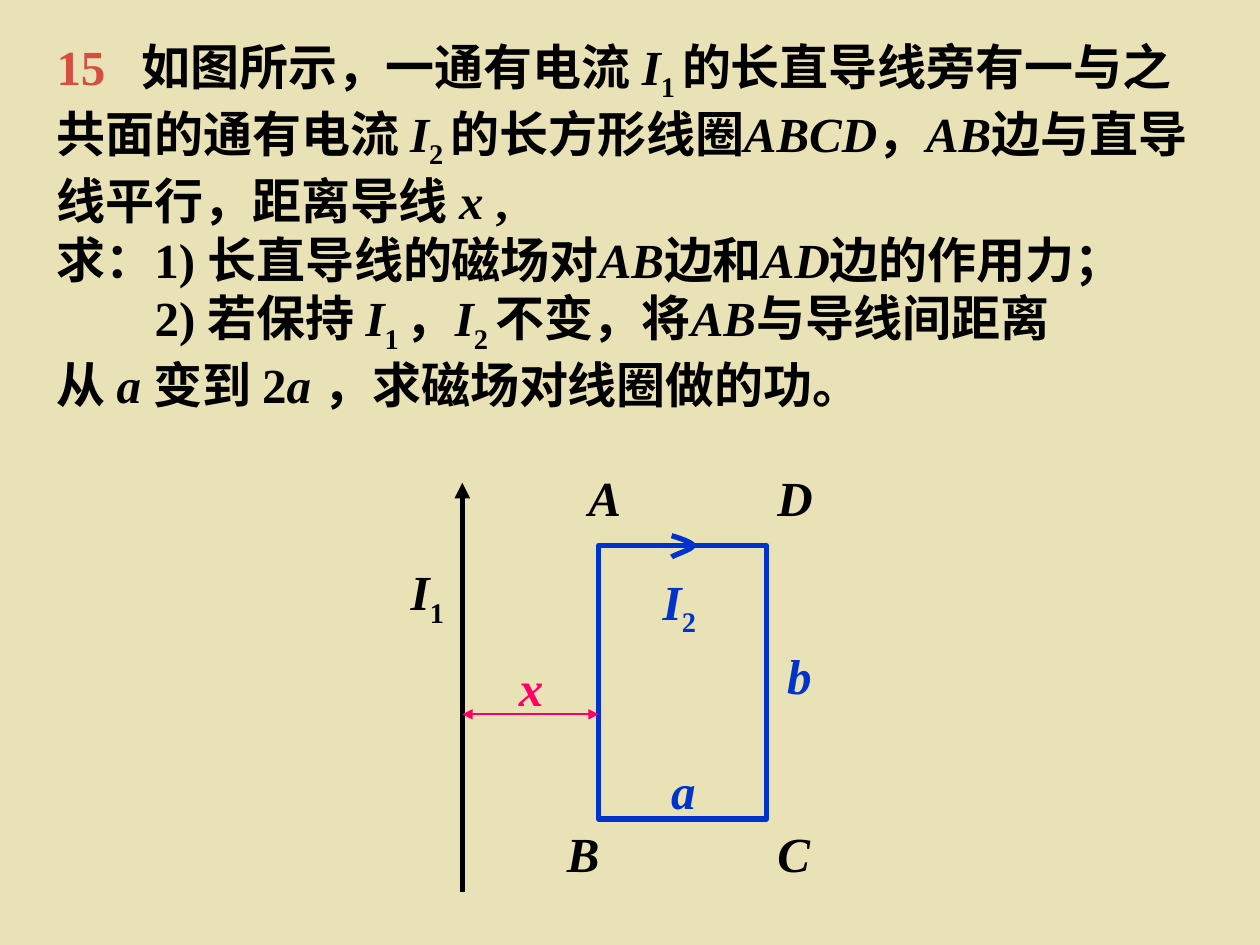
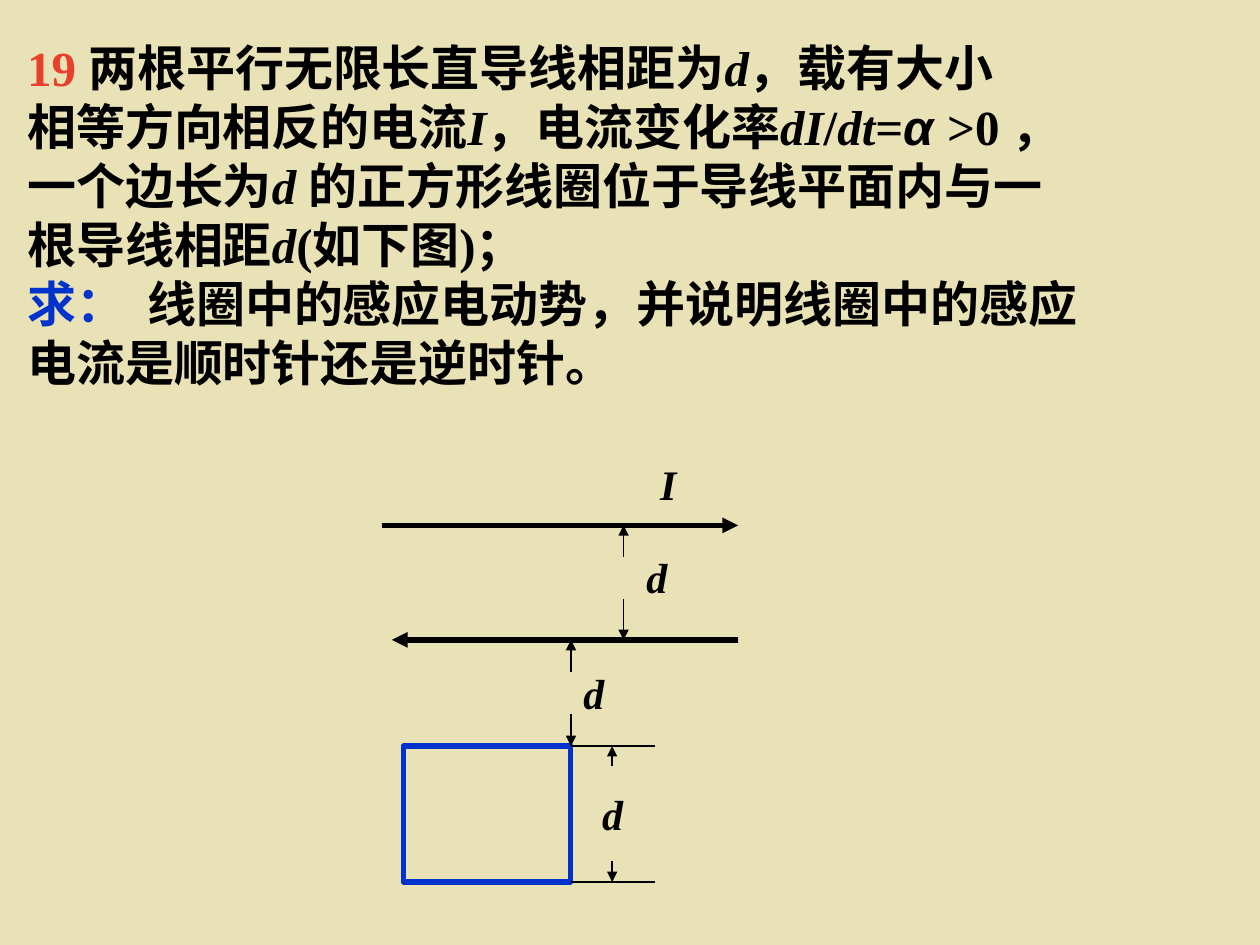
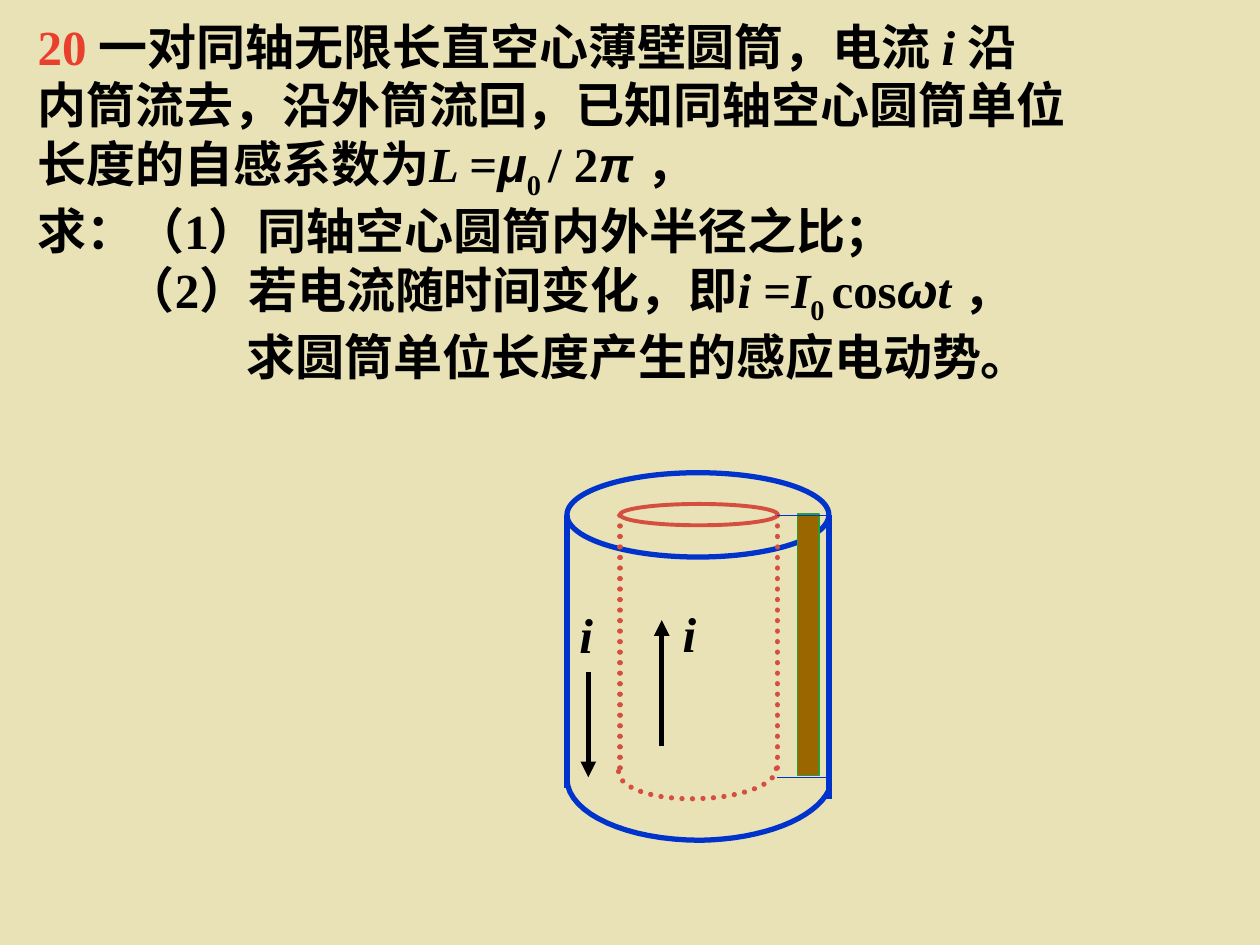
from lxml import etree
from pptx import Presentation
from pptx.dml.color import RGBColor
from pptx.enum.dml import MSO_LINE
from pptx.enum.shapes import MSO_CONNECTOR, MSO_SHAPE
from pptx.enum.text import MSO_AUTO_SIZE
from pptx.oxml.ns import qn
from pptx.util import Cm, Pt

COLORS = {
    "background": "E9E2B6", "black": "000000", "blue": "0033CC",
    "brick": "D54F41", "red": "E93F2D", "pink": "FF0066",
    "brown": "996600", "green": "339933",
}
FONT, GREEK_FONT = "Times New Roman", "Arial"

# Runs are separated by "|"; the first character of a run may set its style:
# ^ italic, ~ Greek italic, _ subscript, # problem number, @ blue keyword
MARKS = "^~_#@"

# Each problem: statement box and paragraphs (text, first-line indent, tab stop),
# then the parts of its figure, all lengths in cm
#   outlines: shape, left, top, width, height, line colour, line width, fill
#   lines:    x1, y1, x2, y2, colour, width, arrows, dotted
#   curves:   Bezier points, colour, dotted
#   labels:   text, left, top, width, size, colour
RECT, OVAL = MSO_SHAPE.RECTANGLE, MSO_SHAPE.OVAL

rectangular_loop = {
    "number": "brick",
    "box": (0.89, 0.61, 23.6, 7.87),
    "statement": [
        ("#15|\t如图所示，一通有电流 |^I|_1 |的长直导线旁有一与之共面的通有电流 |^I|_2 |"
         "的长方形线圈|^ABCD|，|^AB|边与直导线平行，距离导线 |^x| ,", 0, 1.71),
        ("求：1) 长直导线的磁场对|^AB|边和|^AD|边的作用力；", 0, 0),
        ("2) 若保持 |^I|_1 |，|^I|_2 |不变，将|^AB|与导线间距离", 1.98, 0),
        ("从 |^a |变到 2|^a |，求磁场对线圈做的功。", 0, 0),
    ],
    "outlines": [(RECT, 12.07, 11, 3.38, 5.51, "blue", 3, None)],
    "lines": [
        (9.32, 17.98, 9.32, 9.73, "black", 3, "end", False),
        (9.32, 14.4, 12.07, 14.4, "pink", 1, "both", False),
    ],
    "curves": [
        ([(13.54, 10.8), (13.77, 10.87), (13.97, 10.95), (13.97, 11),
          (13.97, 11.07), (13.61, 11.18), (13.54, 11.23)], "blue", False),
    ],
    "labels": [
        ("^I|_1", 8.03, 11.2, 1.17, 28, "black"),
        ("^A", 11.61, 9.3, 1.17, 28, "black"),
        ("^D", 15.42, 9.3, 1.22, 28, "black"),
        ("^B", 11.18, 16.48, 1.17, 28, "black"),
        ("^C", 15.42, 16.48, 1.17, 28, "black"),
        ("^I|_2", 13.11, 11.4, 1.17, 28, "blue"),
        ("^x", 10.21, 13.13, 0.99, 28, "pink"),
        ("^a", 13.28, 15.21, 0.99, 28, "blue"),
        ("^b", 15.62, 12.88, 0.99, 28, "blue"),
    ],
}

parallel_wires = {
    "number": "red",
    "box": (0.3, 0.64, 24.41, 7.37),
    "statement": [
        ("#19 |两根平行无限长直导线相距为|^d|，载有大小", 0, 0),
        ("相等方向相反的电流|^I|，电流变化率|^dI|/|^dt|=|~α |>0 ，", 0, 0),
        ("一个边长为|^d |的正方形线圈位于导线平面内与一", 0, 0),
        ("根导线相距|^d|(如下图)；", 0, 0),
        ("@求：|\t线圈中的感应电动势，并说明线圈中的感应", 0, 2.42),
        ("电流是顺时针还是逆时针。", 0, 0),
    ],
    "outlines": [(RECT, 8.13, 15.04, 3.38, 2.74, "blue", 3, None)],
    "lines": [
        (7.7, 10.59, 14.88, 10.59, "black", 3, "end", False),
        (14.88, 12.9, 7.9, 12.9, "black", 3, "end", False),
        (12.57, 11.23, 12.57, 10.59, "black", 0.75, "end", False),
        (12.57, 12.07, 12.57, 12.9, "black", 0.75, "end", False),
        (11.51, 13.54, 11.51, 12.9, "black", 0.75, "end", False),
        (11.51, 14.4, 11.51, 15.04, "black", 0.75, "end", False),
        (11.51, 15.04, 13.21, 15.04, "black", 0.75, "", False),
        (11.51, 17.78, 13.21, 17.78, "black", 0.75, "", False),
        (12.34, 15.44, 12.34, 15.04, "black", 0.75, "end", False),
        (12.34, 17.35, 12.34, 17.78, "black", 0.75, "end", False),
    ],
    "curves": [],
    "labels": [
        ("^d", 12.78, 11, 0.91, 24, "black"),
        ("^d", 11.51, 13.34, 0.91, 24, "black"),
        ("^d", 11.89, 15.77, 0.91, 24, "black"),
        ("^I", 13.06, 9.12, 0.84, 24, "black"),
    ],
}

coaxial_cylinders = {
    "number": "red",
    "box": (0.51, 0.2, 24.41, 7.7),
    "statement": [
        ("#20 |一对同轴无限长直空心薄壁圆筒，电流 |^i |沿", 0, 0),
        ("内筒流去，沿外筒流回，已知同轴空心圆筒单位", 0, 0),
        ("长度的自感系数为|^L |=|~μ|_0 |/ 2|~π |，", 0, 0),
        ("求：（1）同轴空心圆筒内外半径之比；", 0, 0),
        ("（2）若电流随时间变化，即|^i |=|^I|_0 |cos|~ω|^t |，", 1.78, 0),
        ("求圆筒单位长度产生的感应电动势。", 4.22, 0),
    ],
    "outlines": [
        (OVAL, 11.43, 9.53, 5.28, 1.7, "blue", 3, None),
        (OVAL, 12.5, 10.16, 3.18, 0.43, "brick", 2.25, None),
        (RECT, 16.08, 10.36, 0.43, 5.28, "green", 0.75, "brown"),
    ],
    "lines": [
        (11.43, 10.39, 11.43, 15.88, "blue", 3, "", False),
        (16.71, 10.39, 16.71, 16.1, "blue", 3, "", False),
        (12.5, 10.39, 12.5, 15.67, "brick", 3, "", True),
        (15.67, 10.39, 15.67, 15.67, "brick", 3, "", True),
        (15.67, 10.39, 16.71, 10.39, "blue", 0.75, "", False),
        (15.67, 15.67, 16.71, 15.67, "blue", 0.75, "", False),
        (13.34, 15.04, 13.34, 12.5, "black", 3, "end", False),
        (11.86, 13.54, 11.86, 15.67, "black", 3, "end", False),
    ],
    "curves": [
        ([(16.71, 15.93), (16.43, 16.51), (15.37, 16.92), (14.12, 16.94),
          (12.65, 16.94), (11.46, 16.41), (11.43, 15.72)], "blue", False),
        ([(15.65, 15.49), (15.67, 15.8), (14.96, 16.08), (14.07, 16.1),
          (13.21, 16.13), (12.5, 15.9), (12.47, 15.57),
          (12.47, 15.55), (12.47, 15.52), (12.5, 15.49)], "brick", True),
    ],
    "labels": [
        ("^i", 13.51, 12.04, 0.79, 28, "black"),
        ("^i", 11.43, 12.07, 0.79, 28, "black"),
    ],
}


def add_runs(p, text, size, color, number="red"):
    for part in text.split("|"):
        mark = part[0] if part[0] in MARKS else ""
        r = p.add_run()
        r.text = part[len(mark):]
        r.font.size, r.font.bold = Pt(size), True
        r.font.italic = mark in ("^", "~")
        r.font.name = GREEK_FONT if mark == "~" else FONT
        name = {"#": number, "@": "blue"}.get(mark, color)
        r.font.color.rgb = RGBColor.from_string(COLORS[name])
        if mark == "_":
            r.font._element.set("baseline", "-25000")


def set_line(sp, color, width, dotted=False):
    sp.line.color.rgb = RGBColor.from_string(COLORS[color])
    sp.line.width = Pt(width)
    if dotted:
        sp.line.dash_style = MSO_LINE.ROUND_DOT
        sp.line._get_or_add_ln().set("cap", "rnd")


prs = Presentation()
prs.slide_width, prs.slide_height = Cm(25.4), Cm(19.05)
bg = prs.slide_master.background.fill
bg.solid()
bg.fore_color.rgb = RGBColor.from_string(COLORS["background"])

for problem in (rectangular_loop, parallel_wires, coaxial_cylinders):
    s = prs.slides.add_slide(prs.slide_layouts[6])

    # Statement
    tf = s.shapes.add_textbox(*map(Cm, problem["box"])).text_frame
    tf.word_wrap = True
    tf.auto_size = MSO_AUTO_SIZE.SHAPE_TO_FIT_TEXT
    for i, (text, indent, tab) in enumerate(problem["statement"]):
        p = tf.add_paragraph() if i else tf.paragraphs[0]
        pPr = p._p.get_or_add_pPr()
        if indent:
            pPr.set("marL", "0")
            pPr.set("indent", str(Cm(indent)))
        if tab:
            tabs = etree.SubElement(pPr, qn("a:tabLst"))
            etree.SubElement(tabs, qn("a:tab"), pos=str(Cm(tab)), algn="l")
        add_runs(p, text, 28, "black", problem["number"])

    # The cylinder figure is one group
    grouped = problem is coaxial_cylinders
    shapes = s.shapes.add_group_shape().shapes if grouped else s.shapes

    # Outlines
    for kind, x, y, w, h, color, width, fill in problem["outlines"]:
        sp = shapes.add_shape(kind, Cm(x), Cm(y), Cm(w), Cm(h))
        sp.shadow.inherit = False
        set_line(sp, color, width)
        if fill:
            sp.fill.solid()
            sp.fill.fore_color.rgb = RGBColor.from_string(COLORS[fill])
        else:
            sp.fill.background()

    # Wires, walls and dimension lines
    for x1, y1, x2, y2, color, width, arrows, dotted in problem["lines"]:
        sp = shapes.add_connector(MSO_CONNECTOR.STRAIGHT, Cm(x1), Cm(y1), Cm(x2), Cm(y2))
        set_line(sp, color, width, dotted)
        ln = sp.line._get_or_add_ln()
        if arrows == "both":
            etree.SubElement(ln, qn("a:headEnd"), type="triangle")
        if arrows:
            etree.SubElement(ln, qn("a:tailEnd"), type="triangle")
        etree.SubElement(sp._element.spPr, qn("a:effectLst"))

    # Curves, sampled from their Bezier points
    for pts, color, dotted in problem["curves"]:
        path_points = []
        for k in range(0, len(pts) - 1, 3):
            for t in (n / 16 for n in range(1, 17)):
                weights = ((1 - t) ** 3, 3 * t * (1 - t) ** 2, 3 * t * t * (1 - t), t ** 3)
                path_points.append(tuple(
                    Cm(sum(c * pt[axis] for c, pt in zip(weights, pts[k:k + 4])))
                    for axis in (0, 1)))
        builder = shapes.build_freeform(Cm(pts[0][0]), Cm(pts[0][1]))
        builder.add_line_segments(path_points, close=False)
        sp = builder.convert_to_shape()
        sp.shadow.inherit = False
        sp.fill.background()
        set_line(sp, color, 3, dotted)

    # Labels
    for text, x, y, w, size, color in problem["labels"]:
        height = 1.6 if "_" in text else 1.45 if size == 28 else 1.27
        tf = shapes.add_textbox(Cm(x), Cm(y), Cm(w), Cm(height)).text_frame
        tf.word_wrap = False
        tf.auto_size = MSO_AUTO_SIZE.SHAPE_TO_FIT_TEXT
        add_runs(tf.paragraphs[0], text, size, color)

prs.save("out.pptx")
